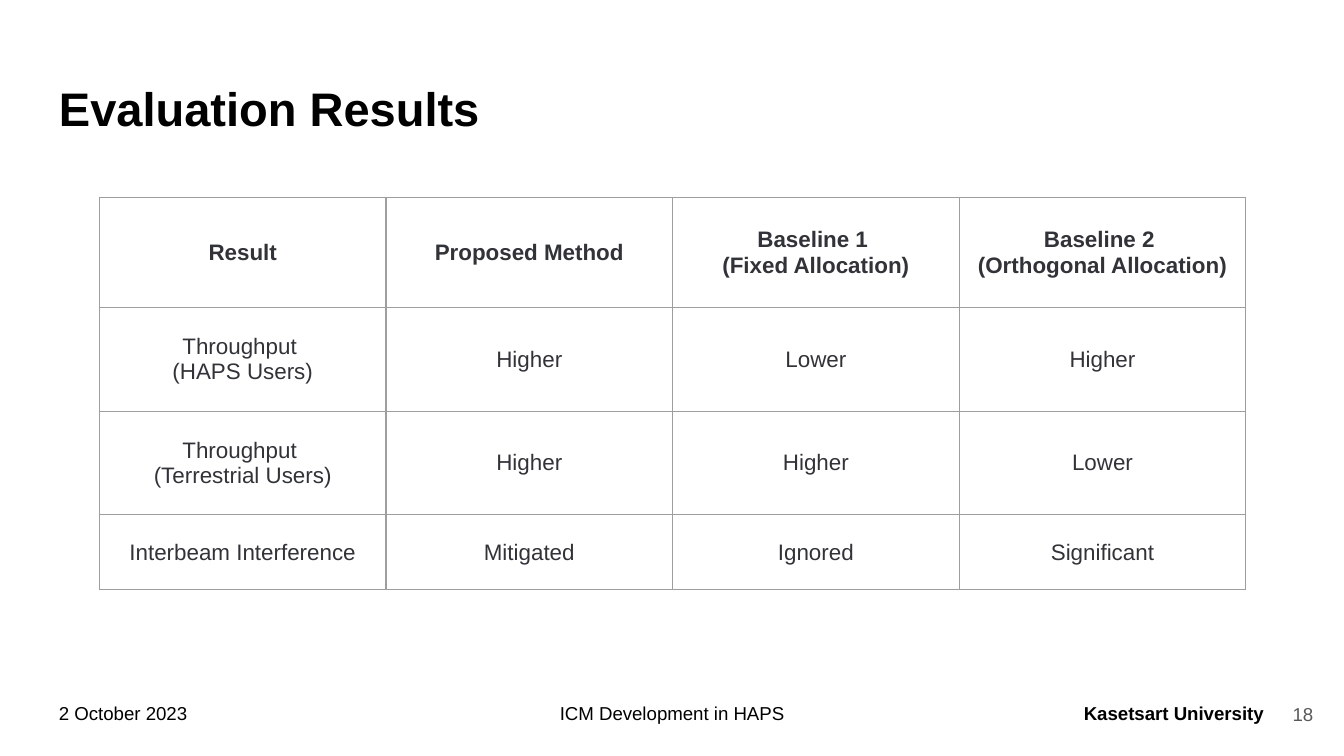
from dataclasses import dataclass

from lxml import etree
from pptx import Presentation
from pptx import util as u
from pptx.dml.color import RGBColor
from pptx.enum import text
from pptx.oxml import ns

LEFT, MID, RIGHT = text.PP_ALIGN.LEFT, text.PP_ALIGN.CENTER, text.PP_ALIGN.RIGHT


@dataclass(frozen=True)
class Theme:
    font: str = "Arial"
    black: str = "000000"
    body: str = "313338"
    gray: str = "595959"
    rule: str = "9E9E9E"
    title: float = 25.2
    cell: float = 12
    foot: float = 10
    line: float = 0.75
    pad: float = 0.1


class Page:
    def __init__(self, slide, theme):
        self.slide = slide
        self.theme = theme

    def style(self, frame, size, color, bold, align):
        for para in frame.paragraphs:
            para.alignment = align
            for run in para.runs:
                font = run.font
                font.name = self.theme.font
                font.size = u.Pt(size)
                font.bold = bold
                font.color.rgb = RGBColor.from_string(color)

    def pad(self, item):
        item.margin_left = item.margin_right = u.Inches(self.theme.pad)
        item.margin_top = item.margin_bottom = u.Inches(self.theme.pad)

    def label(self, words, box, size, color, bold=False, align=LEFT,
              anchor=text.MSO_ANCHOR.TOP):
        shape = self.slide.shapes.add_textbox(*map(u.Inches, box))
        frame = shape.text_frame
        frame.text = words
        frame.word_wrap = True
        frame.vertical_anchor = anchor
        self.pad(frame)
        self.style(frame, size, color, bold, align)

    def border(self, cell):
        props = cell._tc.get_or_add_tcPr()
        for i, side in enumerate(("lnL", "lnR", "lnT", "lnB")):
            line = etree.Element(ns.qn("a:" + side), w=str(u.Pt(self.theme.line)))
            fill = etree.SubElement(line, ns.qn("a:solidFill"))
            etree.SubElement(fill, ns.qn("a:srgbClr"), val=self.theme.rule)
            props.insert(i, line)

    def table(self, rows, left, top, width, heights):
        count = len(rows[0])
        shape = self.slide.shapes.add_table(
            len(rows), count, u.Inches(left), u.Inches(top),
            u.Inches(width), u.Inches(sum(heights)))
        grid = shape.table
        grid.first_row = grid.horz_banding = False
        for col in grid.columns:
            col.width = u.Inches(width / count)
        for r, (row, height) in enumerate(zip(rows, heights)):
            grid.rows[r].height = u.Inches(height)
            for c, words in enumerate(row):
                cell = grid.cell(r, c)
                cell.text_frame.text = words
                cell.vertical_anchor = text.MSO_ANCHOR.MIDDLE
                cell.fill.background()
                self.pad(cell)
                self.border(cell)
                self.style(cell.text_frame, self.theme.cell, self.theme.body,
                           r == 0, MID)


def main():
    deck = Presentation()
    deck.slide_width, deck.slide_height = u.Inches(10), u.Inches(10 * 9 / 16)
    theme = Theme()
    page = Page(deck.slides.add_slide(deck.slide_layouts[6]), theme)

    feet = [
        ("2 October 2023", 0.34, 1.18, False, LEFT),
        ("ICM Development in HAPS", 2.53, 4.94, False, MID),
        ("Kasetsart University", 7.92, 1.58, True, RIGHT),
    ]
    for words, left, width, bold, align in feet:
        page.label(words, (left, 5.14, width, 0.37), theme.foot, theme.black,
                   bold, align)
    page.label("Evaluation Results", (0.34, 0.49, 9.32, 0.63), theme.title,
               theme.black, True)
    page.label("18", (9.27, 5.1, 0.6, 0.43), theme.foot, theme.gray,
               align=RIGHT, anchor=text.MSO_ANCHOR.MIDDLE)

    rows = [
        ["Result", "Proposed Method", "Baseline 1 \n(Fixed Allocation)",
         "Baseline 2 \n(Orthogonal Allocation)"],
        ["Throughput \n(HAPS Users)", "Higher", "Lower", "Higher"],
        ["Throughput \n(Terrestrial Users)", "Higher", "Higher", "Lower"],
        ["Interbeam Interference", "Mitigated", "Ignored", "Significant"],
    ]
    page.table(rows, 0.74, 1.47, 8.53, [0.82, 0.77, 0.77, 0.56])
    deck.save("out.pptx")


if __name__ == "__main__":
    main()
